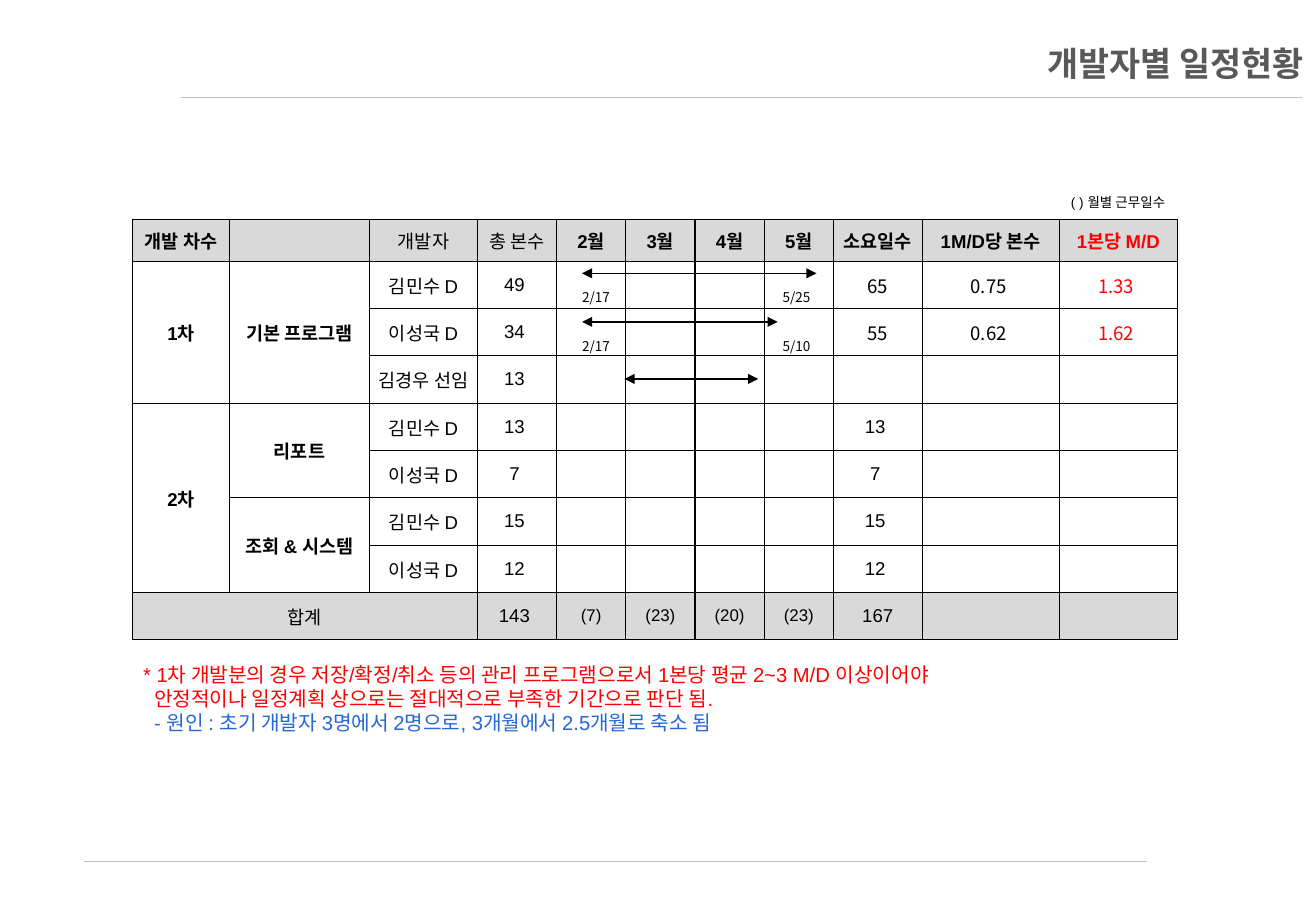
from lxml import etree
from pptx import Presentation
from pptx.dml.color import RGBColor
from pptx.enum.dml import MSO_LINE
from pptx.enum.shapes import MSO_CONNECTOR
from pptx.enum.text import MSO_ANCHOR, PP_ALIGN
from pptx.oxml.ns import qn
from pptx.util import Pt

PX = 9144  # EMU per px, 100 px to the inch
PAGE_WIDTH, PAGE_HEIGHT = 1083, 750
TITLE_ONLY = 5
STRAIGHT = MSO_CONNECTOR.STRAIGHT
DOTTED = MSO_LINE.ROUND_DOT
MIDDLE = MSO_ANCHOR.MIDDLE
LEFT, CENTER, RIGHT = PP_ALIGN.LEFT, PP_ALIGN.CENTER, PP_ALIGN.RIGHT
LATIN, KOREAN = "Arial", "Noto Sans CJK KR"
COLORS = {"title": "595959", "rule": "BFBFBF", "text": "000000",
          "shade": "D9D9D9", "warning": "FF0000", "cause": "2467D9"}

COLUMN_WIDTHS = [80, 115, 89, 65, 57, 57, 57, 57, 73, 113, 97]
HEADER_HEIGHT, ROW_HEIGHT = 34, 39
FIRST_MONTH, DAYS_COLUMN, RATE_COLUMN = 4, 8, 10
PLAIN_HEADERS = ("개발자", "총 본수")
MONTHS = [""] * 4
ROWS = [
    ["개발 차수", "", "개발자", "총 본수", "2월", "3월", "4월", "5월",
     "소요일수", "1M/D당 본수", "1본당 M/D"],
    ["1차", "기본 프로그램", "김민수 D", "49 ", *MONTHS, "65", "0.75 ", "1.33 "],
    ["", "", "이성국 D", "34 ", *MONTHS, "55", "0.62 ", "1.62 "],
    ["", "", "김경우 선임", "13 ", *MONTHS, "", "", ""],
    ["2차", "리포트", "김민수 D", "13 ", *MONTHS, "13 ", "", ""],
    ["", "", "이성국 D", "7 ", *MONTHS, "7 ", "", ""],
    ["", "조회 & 시스템", "김민수 D", "15 ", *MONTHS, "15 ", "", ""],
    ["", "", "이성국 D", "12 ", *MONTHS, "12 ", "", ""],
    ["합계", "", "", "143 ", "(7)", "(23)", "(20)", "(23)", "167", "", ""],
]
TOTAL_ROW = len(ROWS) - 1
# first row, first column, last row, last column
MERGES = [(1, 0, 3, 0), (1, 1, 3, 1), (4, 0, 7, 0), (4, 1, 5, 1),
          (6, 1, 7, 1), (TOTAL_ROW, 0, TOTAL_ROW, 2)]
# left, right and top of each arrow within the table, then its two dates
SCHEDULES = [(370, 563, 44, ("2/17", "5/25")),
             (370, 531, 84, ("2/17", "5/10")),
             (405, 515, 131, ())]
DATE_LEFTS = (354, 519)
NOTES = [
    ("* 1차 개발분의 경우 저장/확정/취소 등의 관리 프로그램으로서 1본당 평균 2~3 M/D 이상이어야",
     "warning", 0),
    ("안정적이나 일정계획 상으로는 절대적으로 부족한 기간으로 판단 됨.", "warning", 9),
    ("- 원인 : 초기 개발자 3명에서 2명으로, 3개월에서 2.5개월로 축소 됨", "cause", 9),
]


def rgb(name):
    return RGBColor.from_string(COLORS[name])


def write(para, text, size, color="text", font=LATIN, bold=False, align=LEFT):
    para.text = text
    para.alignment = align
    for span in para.runs:
        span.font.size = Pt(size)
        span.font.name = font
        span.font.bold = bold
        span.font.color.rgb = rgb(color)


def add_text_box(page, left, top, width, height):
    box = page.shapes.add_textbox(left * PX, top * PX, width * PX, height * PX)
    box.text_frame.word_wrap = True
    return box.text_frame


def add_line(page, left, right, top, color, weight):
    line = page.shapes.add_connector(STRAIGHT, left * PX, top * PX, right * PX, top * PX)
    line.line.color.rgb = rgb(color)
    line.line.width = Pt(weight)
    etree.SubElement(line._element.spPr, qn("a:effectLst"))
    return line


def add_rule(page, left, right, top):
    add_line(page, left, right, top, "rule", 0.25).line.dash_style = DOTTED


def add_double_arrow(page, left, right, top):
    arrow = add_line(page, left, right, top, "text", 0.75)
    outline = arrow._element.spPr.find(qn("a:ln"))
    for end in ("a:headEnd", "a:tailEnd"):
        etree.SubElement(outline, qn(end), type="triangle")


def add_title(page, left, top, width, height):
    title = page.shapes.title
    title.left, title.top = left * PX, top * PX
    title.width, title.height = width * PX, height * PX
    title.text_frame.vertical_anchor = MIDDLE
    write(title.text_frame.paragraphs[0], "개발자별 일정현황", 20, "title",
          bold=True, align=RIGHT)


def set_borders(cell):
    properties = cell._tc.get_or_add_tcPr()
    for index, side in enumerate(("a:lnL", "a:lnR", "a:lnT", "a:lnB")):
        border = etree.Element(qn(side), w=str(Pt(0.75)))
        fill = etree.SubElement(border, qn("a:solidFill"))
        etree.SubElement(fill, qn("a:srgbClr"), val=COLORS["text"])
        properties.insert(index, border)


def format_cell(cell, row, column, text):
    cell.margin_left = cell.margin_right = cell.margin_top = cell.margin_bottom = 0
    cell.vertical_anchor = MIDDLE
    if row in (0, TOTAL_ROW):
        cell.fill.solid()
        cell.fill.fore_color.rgb = rgb("shade")
    else:
        cell.fill.background()
    set_borders(cell)
    is_header = row == 0
    is_month_total = row == TOTAL_ROW and FIRST_MONTH <= column < DAYS_COLUMN
    is_group = 0 < row < TOTAL_ROW and column < 2
    write(cell.text_frame.paragraphs[0], text,
          size=10 if is_month_total else 11,
          color="warning" if column == RATE_COLUMN else "text",
          font=KOREAN if row in (1, 2) and column >= DAYS_COLUMN else LATIN,
          bold=is_group or (is_header and text not in PLAIN_HEADERS),
          align=CENTER)


def add_schedule_table(page, left, top):
    width = sum(COLUMN_WIDTHS)
    height = HEADER_HEIGHT + ROW_HEIGHT * TOTAL_ROW
    table = page.shapes.add_table(len(ROWS), len(COLUMN_WIDTHS), left * PX, top * PX,
                                  width * PX, height * PX).table
    table.first_row = table.horz_banding = False
    for column, column_width in zip(table.columns, COLUMN_WIDTHS):
        column.width = column_width * PX
    for index, row in enumerate(table.rows):
        row.height = (ROW_HEIGHT if index else HEADER_HEIGHT) * PX
    for row, texts in enumerate(ROWS):
        for column, text in enumerate(texts):
            format_cell(table.cell(row, column), row, column, text)
    for first_row, first_column, last_row, last_column in MERGES:
        table.cell(first_row, first_column).merge(table.cell(last_row, last_column))

    caption = add_text_box(page, left + width - 453, top - 26, 453, 24)
    write(caption.paragraphs[0], "( ) 월별 근무일수", 8, align=RIGHT)


def add_schedules(page, left, top):
    """Place the arrows and dates over the table whose corner is given."""
    for start, end, offset, dates in SCHEDULES:
        add_double_arrow(page, left + start, left + end, top + offset)
        for date_left, date in zip(DATE_LEFTS, dates):
            frame = add_text_box(page, left + date_left, top + offset + 8, 55, 24)
            write(frame.paragraphs[0], date, 8, font=KOREAN, align=CENTER)


def add_notes(page, left, top, width, height):
    frame = add_text_box(page, left, top, width, height)
    for index, (text, color, indent) in enumerate(NOTES):
        para = frame.add_paragraph() if index else frame.paragraphs[0]
        write(para, text, 12, color)
        properties = para._p.get_or_add_pPr()
        properties.set("marL", str(indent * PX))
        properties.set("indent", "0")


def main():
    deck = Presentation()
    deck.slide_width, deck.slide_height = PAGE_WIDTH * PX, PAGE_HEIGHT * PX
    page = deck.slides.add_slide(deck.slide_layouts[TITLE_ONLY])
    add_rule(page, 149, 1071, 80)
    add_rule(page, 69, 943, 709)
    add_title(page, 108, 29, 975, 45)
    add_notes(page, 108, 540, 780, 71)
    add_schedule_table(page, 109, 181)
    add_schedules(page, 109, 181)
    deck.save("out.pptx")


if __name__ == "__main__":
    main()
